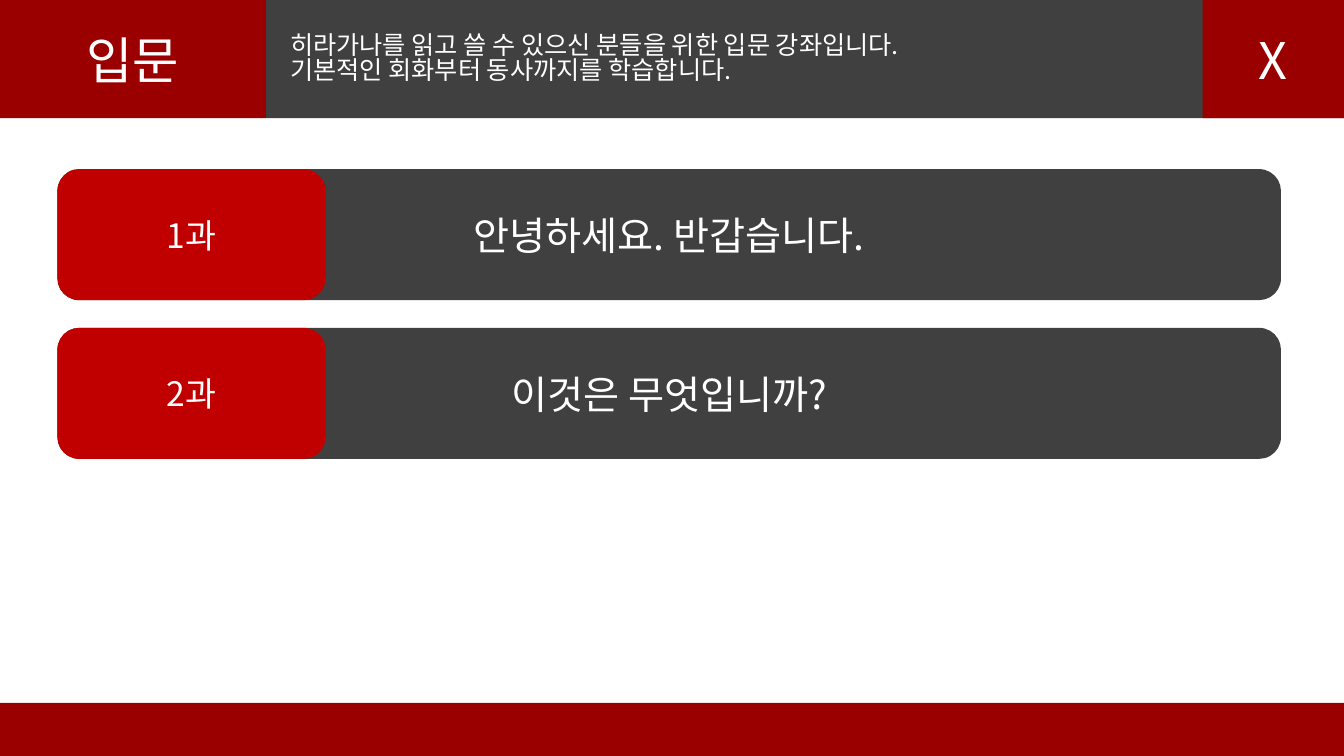
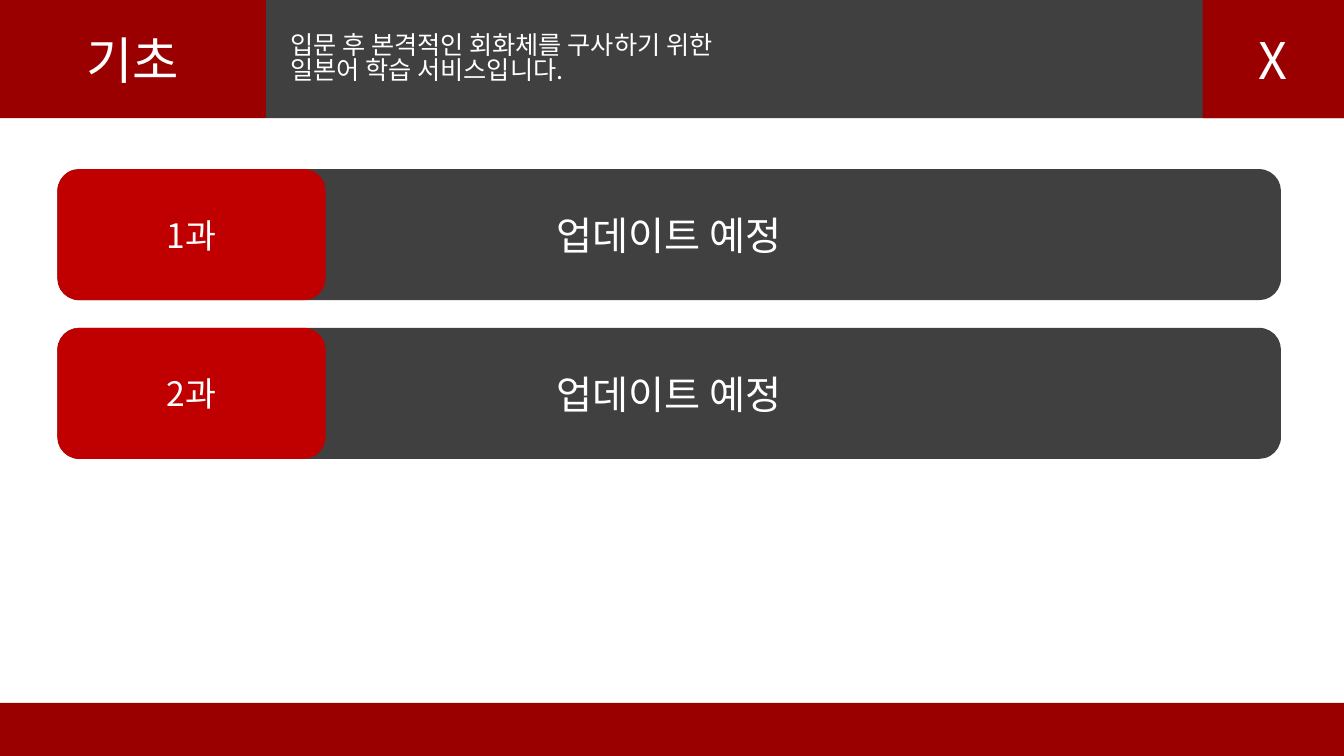
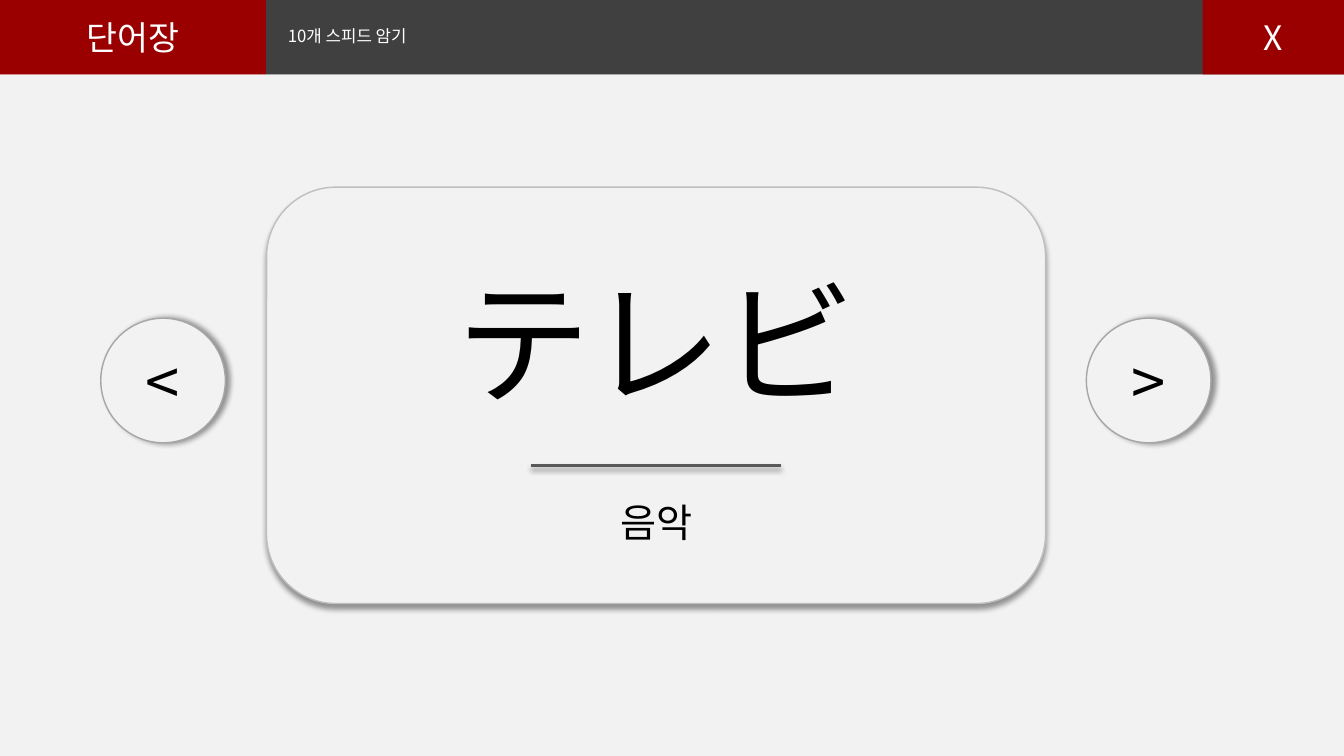
from dataclasses import dataclass
from typing import Optional

from lxml import etree
from pptx import Presentation
from pptx.dml.color import RGBColor
from pptx.enum import shapes, text
from pptx.oxml import ns
from pptx.util import Pt

FONT = "Noto Sans CJK KR"
DARK_RED, RED, CHARCOAL = "9A0000", "C00000", "404040"
PALE, WHITE, BLACK = "F2F2F2", "FFFFFF", "000000"
PAGE_W, PAGE_H = 960, 540
TITLE_W, CLOSE_W = 190, 101
RECT = shapes.MSO_SHAPE.RECTANGLE
ROUNDED = shapes.MSO_SHAPE.ROUNDED_RECTANGLE
OVAL = shapes.MSO_SHAPE.OVAL
CENTER, LEFT = text.PP_ALIGN.CENTER, text.PP_ALIGN.LEFT
DOWN, RIGHTWARD = 90, 0


@dataclass(frozen=True)
class Box:
    left: float
    top: float
    width: float
    height: float

    def emu(self) -> tuple:
        return Pt(self.left), Pt(self.top), Pt(self.width), Pt(self.height)


@dataclass(frozen=True)
class Style:
    size: float
    color: str = WHITE
    align: text.PP_ALIGN = CENTER
    line_spacing: float = 1.0
    tracking: float = 0


@dataclass(frozen=True)
class Header:
    height: float
    title_size: float
    summary_size: float
    summary_indent: float


@dataclass(frozen=True)
class Course:
    title: str
    summary: str
    lessons: tuple


@dataclass(frozen=True)
class Arrow:
    sign: str
    left: float


COURSE_HEADER = Header(84.4, 36, 18, 17.3)
WORD_HEADER = Header(53.3, 24, 12, 15.6)
COURSES = (
    Course(
        "입문",
        "히라가나를 읽고 쓸 수 있으신 분들을 위한 입문 강좌입니다.\n기본적인 회화부터 동사까지를 학습합니다.",
        ("안녕하세요. 반갑습니다.", "이것은 무엇입니까?"),
    ),
    Course(
        "기초",
        "입문 후 본격적인 회화체를 구사하기 위한\n일본어 학습 서비스입니다.",
        ("업데이트 예정", "업데이트 예정"),
    ),
)
ARROWS = (Arrow("<", 72), Arrow(">", 776))


def rgb(value: str) -> RGBColor:
    return RGBColor.from_string(value)


def write(frame, content: str, style: Style) -> None:
    frame.text = content
    frame.auto_size = text.MSO_AUTO_SIZE.NONE
    for paragraph in frame.paragraphs:
        paragraph.alignment = style.align
        paragraph.line_spacing = style.line_spacing
        paragraph.space_before = Pt(0)
        font = paragraph.font
        font.size = Pt(style.size)
        font.color.rgb = rgb(style.color)
        font.name = FONT
        properties = paragraph._p.pPr.find(ns.qn("a:defRPr"))
        etree.SubElement(properties, ns.qn("a:ea"), typeface=FONT)
        if style.tracking:
            properties.set("spc", str(round(style.tracking * 100)))


def remove_bullets(frame) -> None:
    for paragraph in frame.paragraphs:
        properties = paragraph._p.get_or_add_pPr()
        properties.set("marL", "0")
        properties.set("indent", "0")
        no_bullet = etree.Element(ns.qn("a:buNone"))
        properties.find(ns.qn("a:defRPr")).addprevious(no_bullet)


def cast_shadow(target, direction: int) -> None:
    properties = target._element.spPr
    effects = properties.find(ns.qn("a:effectLst"))
    if effects is None:
        effects = etree.SubElement(properties, ns.qn("a:effectLst"))
    shadow = etree.SubElement(
        effects, ns.qn("a:outerShdw"), blurRad=str(Pt(4)), dist=str(Pt(3)),
        dir=str(direction * 60000), algn="ctr", rotWithShape="0",
    )
    tone = etree.SubElement(shadow, ns.qn("a:srgbClr"), val=BLACK)
    etree.SubElement(tone, ns.qn("a:alpha"), val="40000")


def add_panel(slide, kind, box: Box, fill: str, content: str = "",
              style: Optional[Style] = None, outline: Optional[str] = None):
    panel = slide.shapes.add_shape(kind, *box.emu())
    panel.shadow.inherit = False
    panel.fill.solid()
    panel.fill.fore_color.rgb = rgb(fill)
    if outline:
        panel.line.color.rgb = rgb(outline)
        panel.line.width = Pt(1)
    else:
        panel.line.fill.background()
    if style:
        write(panel.text_frame, content, style)
        panel.text_frame.vertical_anchor = text.MSO_ANCHOR.MIDDLE
    return panel


def fill_placeholder(placeholder, box: Box, fill: str, content: str, style: Style) -> None:
    placeholder.left, placeholder.top, placeholder.width, placeholder.height = box.emu()
    placeholder.fill.solid()
    placeholder.fill.fore_color.rgb = rgb(fill)
    write(placeholder.text_frame, content, style)
    placeholder.text_frame.vertical_anchor = text.MSO_ANCHOR.MIDDLE


def add_label(slide, box: Box, content: str, style: Style, wrap: bool) -> None:
    label = slide.shapes.add_textbox(*box.emu())
    write(label.text_frame, content, style)
    label.text_frame.word_wrap = wrap


def add_page(deck, header: Header, title: str, summary: str):
    slide = deck.slides.add_slide(deck.slide_layouts[1])
    heading = Style(header.title_size)
    fill_placeholder(slide.shapes.title, Box(0, 0, TITLE_W, header.height),
                     DARK_RED, title, heading)
    body = slide.placeholders[1]
    fill_placeholder(body, Box(TITLE_W, 0, PAGE_W - TITLE_W, header.height), CHARCOAL,
                     summary, Style(header.summary_size, align=LEFT, line_spacing=0.83))
    body.text_frame.margin_left = Pt(header.summary_indent)
    remove_bullets(body.text_frame)
    add_panel(slide, RECT, Box(PAGE_W - CLOSE_W, 0, CLOSE_W, header.height),
              DARK_RED, "X", heading)
    return slide


def add_course(deck, course: Course) -> None:
    slide = add_page(deck, COURSE_HEADER, course.title, course.summary)
    add_panel(slide, RECT, Box(0, 502, PAGE_W, PAGE_H - 502), DARK_RED)
    for index, lesson in enumerate(course.lessons):
        top = 120.8 + index * 113.4
        add_panel(slide, ROUNDED, Box(41, top, 874, 93.6), CHARCOAL, lesson, Style(28))
        add_panel(slide, ROUNDED, Box(41, top, 191.6, 93.6), RED, f"{index + 1}과", Style(24))


def add_word_card(deck) -> None:
    slide = add_page(deck, WORD_HEADER, "단어장", "10개 스피드 암기")
    top = WORD_HEADER.height
    add_panel(slide, RECT, Box(0, top, PAGE_W, PAGE_H - top), PALE)
    card = add_panel(slide, ROUNDED, Box(190.4, 133.7, 556.4, 297.4), PALE, outline="BFBFBF")
    cast_shadow(card, DOWN)
    divider = slide.shapes.add_connector(
        shapes.MSO_CONNECTOR.STRAIGHT, Pt(379.4), Pt(332.6), Pt(558), Pt(332.6))
    divider.line.color.rgb = rgb("595959")
    divider.line.width = Pt(2.25)
    cast_shadow(divider, DOWN)
    add_label(slide, Box(383.8, 357.5, 170, 41), "음악",
              Style(28, BLACK, line_spacing=0.85), True)
    add_label(slide, Box(318.2, 199, 301, 123.8), "テレビ",
              Style(96, BLACK, line_spacing=0.85, tracking=-1.5), False)
    for arrow in ARROWS:
        button = add_panel(slide, OVAL, Box(arrow.left, 227.3, 89, 89), PALE,
                           arrow.sign, Style(44, BLACK), "A6A6A6")
        cast_shadow(button, RIGHTWARD)


def main() -> None:
    deck = Presentation()
    deck.slide_width, deck.slide_height = Pt(PAGE_W), Pt(PAGE_H)
    for course in COURSES:
        add_course(deck, course)
    add_word_card(deck)
    deck.save("out.pptx")


if __name__ == "__main__":
    main()
